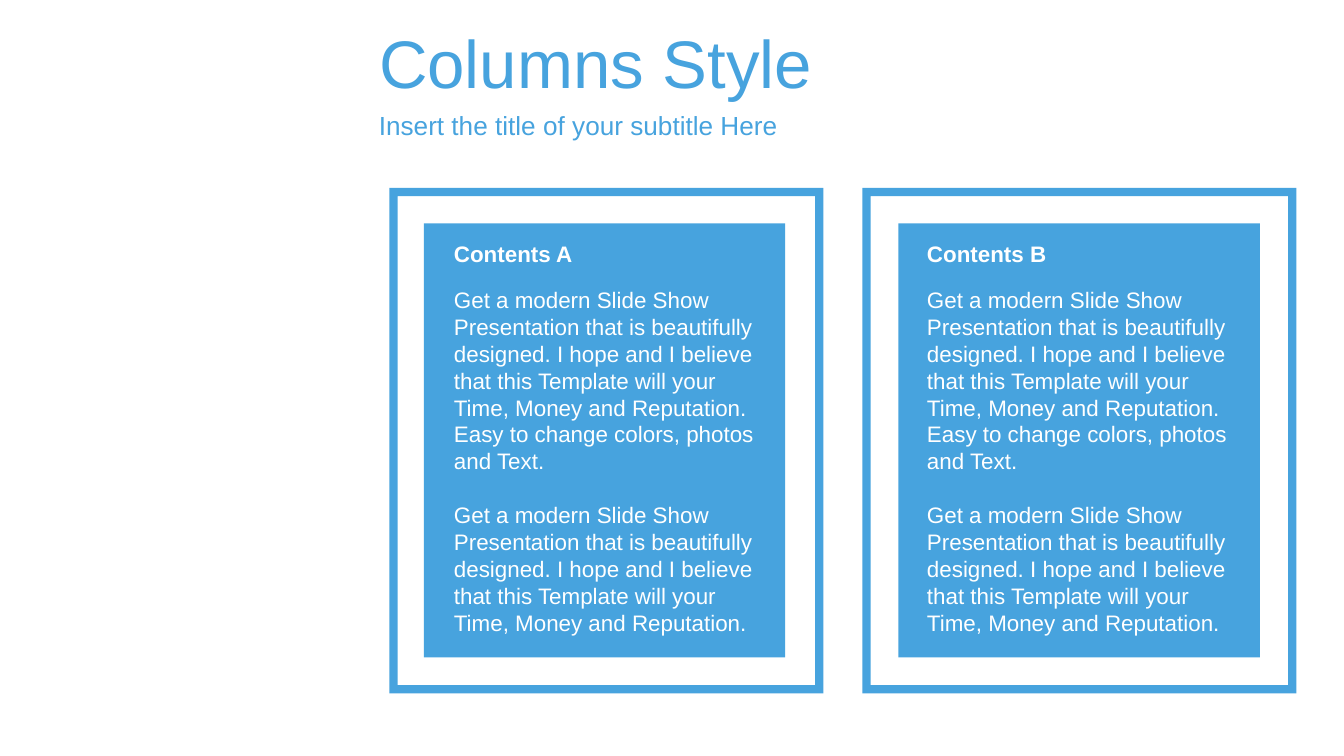
import pptx
import pptx.util
import pptx.dml.color
import pptx.enum.shapes
import pptx.enum.text

Cm, Pt = pptx.util.Cm, pptx.util.Pt
SHAPE = pptx.enum.shapes.MSO_SHAPE
ANCHOR = pptx.enum.text.MSO_ANCHOR
BLUE, WHITE = "47A3DE", "FFFFFF"
LEAD = ("Get a modern Slide Show Presentation that is beautifully designed. "
        "I hope and I believe that this Template will your Time, Money and "
        "Reputation.")
BODY = [LEAD + " Easy to change colors, photos and Text.", LEAD]


def paint(target, color):
    target.rgb = pptx.dml.color.RGBColor.from_string(color)


def write(frame, lines, size, color, bold=False, gap=0):
    """Fill a text frame, with a gap in points between paragraphs."""
    frame.word_wrap = True
    for i, line in enumerate(lines):
        para = frame.paragraphs[0] if i == 0 else frame.add_paragraph()
        para.text = line
        para.alignment = pptx.enum.text.PP_ALIGN.LEFT
        para.space_before = Pt(gap if i else 0)
        font = para.font
        font.name, font.size, font.bold = "Arial", Pt(size), bold
        paint(font.color, color)


def add_text(slide, left, top, width, height, lines, size, color, **style):
    box = slide.shapes.add_textbox(Cm(left), Cm(top), Cm(width), Cm(height))
    write(box.text_frame, lines, size, color, **style)
    return box


def add_block(slide, kind, left, top, width, height):
    block = slide.shapes.add_shape(
        kind, Cm(left), Cm(top), Cm(width), Cm(height))
    block.shadow.inherit = False
    block.fill.solid()
    paint(block.fill.fore_color, BLUE)
    block.line.fill.background()
    return block


def add_title(slide):
    title = slide.shapes.title
    title.left, title.top = Cm(6.91), Cm(0.36)
    title.width, title.height = Cm(18.49), Cm(1.6)
    write(title.text_frame, ["Columns Style"], 36, BLUE)
    title.text_frame.vertical_anchor = ANCHOR.MIDDLE


def add_panel(slide, left, inner, text, head):
    """Draw a framed column with a heading and body text."""
    frame = add_block(slide, SHAPE.FRAME, left, 3.55, 8.2, 9.55)
    frame.adjustments[0] = 0.019
    add_block(slide, SHAPE.RECTANGLE, inner, 4.22, 6.83, 8.2)
    add_text(slide, text, 4.42, 6.27, 0.76, [head], 12, WHITE, bold=True)
    add_text(slide, text, 5.28, 6.27, 6.93, BODY, 12, WHITE, gap=14.4)


def main():
    deck = pptx.Presentation()
    deck.slide_width, deck.slide_height = Cm(25.4), Cm(14.28)
    slide = deck.slides.add_slide(deck.slide_layouts[5])

    # Heading
    add_title(slide)
    sub = add_text(slide, 6.91, 1.96, 18.49, 0.79,
                   ["Insert the title of your subtitle Here"], 14, BLUE)
    sub.text_frame.vertical_anchor = ANCHOR.MIDDLE

    # Columns
    add_panel(slide, 7.36, 8.01, 8.33, "Contents A")
    add_panel(slide, 16.3, 16.98, 17.27, "Contents B")

    deck.save("out.pptx")


if __name__ == "__main__":
    main()
